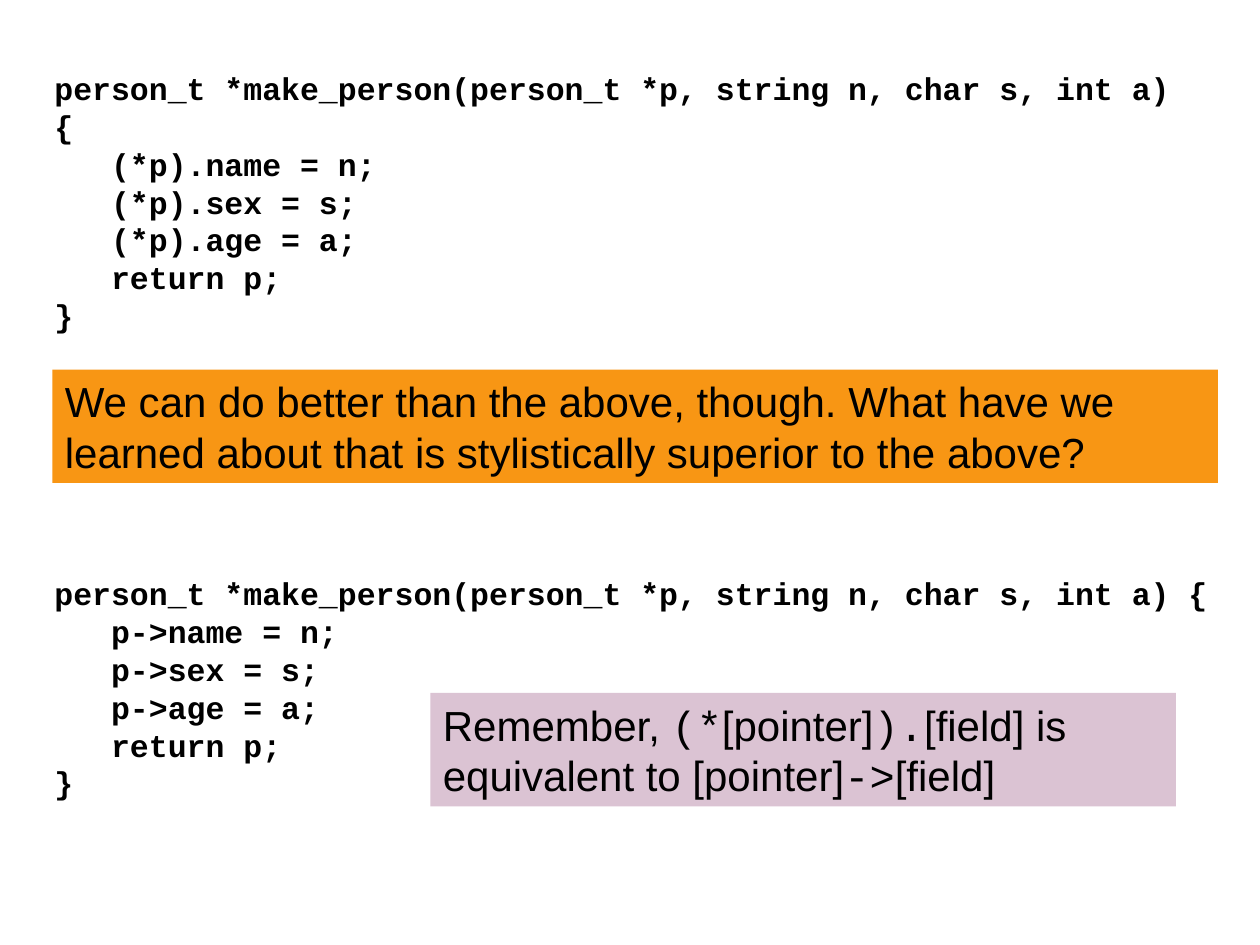
"""Build a slide comparing two ways to set struct fields through a pointer."""
from dataclasses import dataclass

from pptx import Presentation
from pptx.dml.color import RGBColor
from pptx.enum.shapes import MSO_SHAPE
from pptx.enum.text import MSO_ANCHOR, PP_ALIGN
from pptx.util import Pt


@dataclass(frozen=True)
class Theme:
    ink: RGBColor = RGBColor(0x00, 0x00, 0x00)
    question: RGBColor = RGBColor(0xF8, 0x96, 0x14)
    reminder: RGBColor = RGBColor(0xDB, 0xC3, 0xD3)
    code_font: str = "Courier New"
    prose_font: str = "Arial"
    code_size: int = 18
    prose_size: int = 24
    leading: float = 1.2


theme = Theme()
code = {"name": theme.code_font, "size": Pt(theme.code_size), "bold": True}
prose = {"name": theme.prose_font, "size": Pt(theme.prose_size), "bold": False}
symbol = {**prose, "name": theme.code_font}


def write(frame, lines):
    for name, value in {"word_wrap": True, "vertical_anchor": MSO_ANCHOR.TOP}.items():
        setattr(frame, name, value)
    for number, pieces in enumerate(lines):
        paragraph = frame.add_paragraph() if number else frame.paragraphs[0]
        paragraph.alignment = PP_ALIGN.LEFT
        paragraph.line_spacing = Pt(pieces[0][1]["size"].pt * theme.leading)
        for words, style in pieces:
            run = paragraph.add_run()
            run.text = words
            run.font.color.rgb = theme.ink
            for name, value in style.items():
                setattr(run.font, name, value)


presentation = Presentation()
presentation.slide_width, presentation.slide_height = Pt(720), Pt(540)
slide = presentation.slides.add_slide(presentation.slide_layouts[6])

signature = "person_t *make_person(person_t *p, string n, char s, int a) {"
fields = {"name": "n", "sex": "s", "age": "a"}
listings = [
    ("(*p).", (24, 36, 671.76, 158.4)),
    ("p->", (24, 324.72, 684, 136.8)),
]
callouts = [
    (theme.question, (30, 211.2, 666, 64.8), [
        ("We can do better than the above, though. What have we learned "
         "about that is stylistically superior to the above?", prose),
    ]),
    (theme.reminder, (246, 396, 426, 64.8), [
        ("Remember, ", prose),
        ("(*", symbol),
        ("[pointer]", prose),
        (").", symbol),
        ("[field] is equivalent to [pointer]", prose),
        ("->", symbol),
        ("[field]", prose),
    ]),
]

for (access, place), (colour, area, message) in zip(listings, callouts):
    assignments = [f"   {access}{field} = {value};" for field, value in fields.items()]
    listing = slide.shapes.add_textbox(*map(Pt, place))
    write(listing.text_frame,
          [[(line, code)] for line in [signature, *assignments, "   return p;", "}"]])

    callout = slide.shapes.add_shape(MSO_SHAPE.RECTANGLE, *map(Pt, area))
    callout.shadow.inherit = False
    callout.fill.solid()
    callout.fill.fore_color.rgb = colour
    callout.line.fill.background()
    write(callout.text_frame, [message])

presentation.save("out.pptx")
